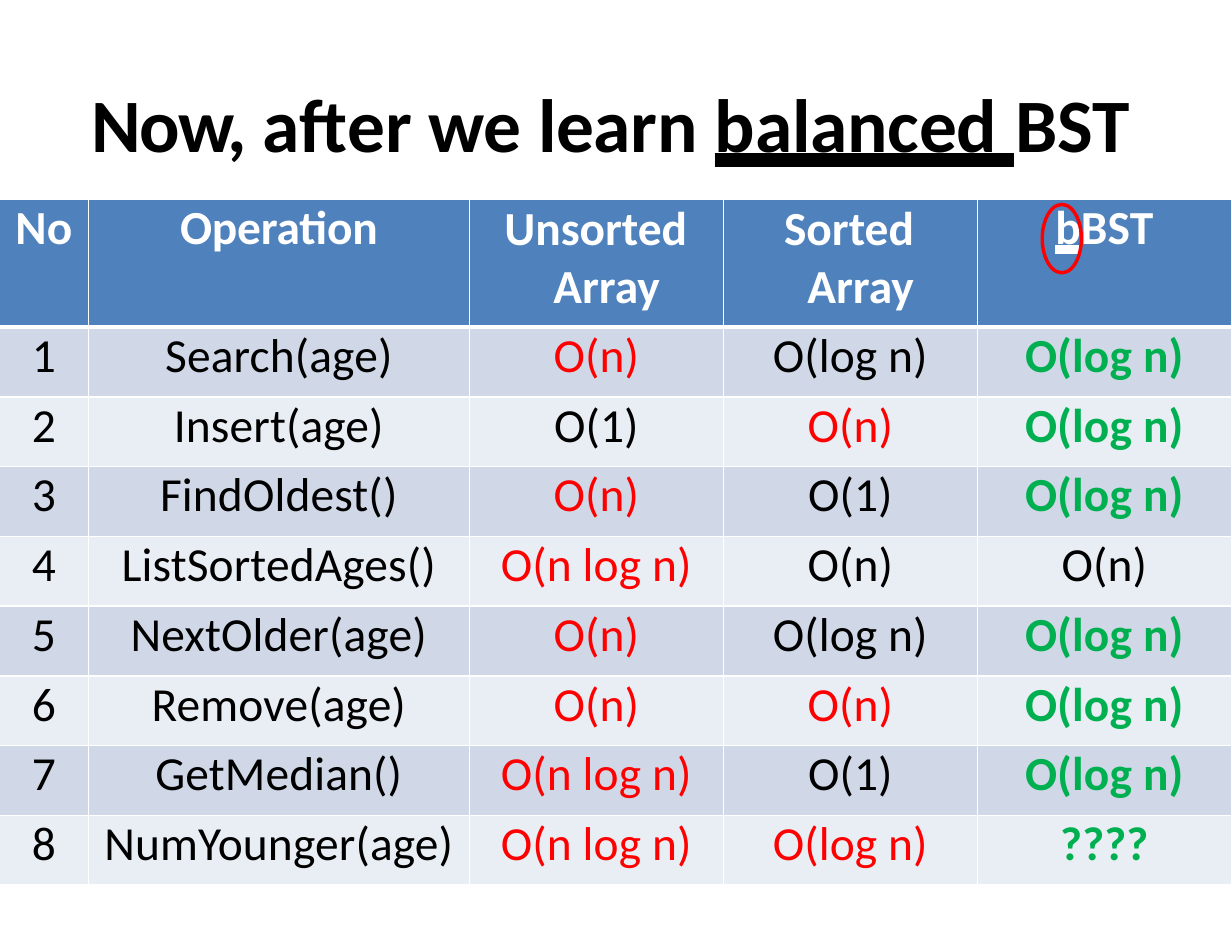
from lxml import etree
from pptx import Presentation
from pptx import util as u
from pptx.dml.color import RGBColor
from pptx.enum import shapes, text
from pptx.oxml.ns import qn

WHITE, BLACK, RED, GREEN = "FFFFFF", "000000", "FF0000", "00B050"
HEADER, BAND_DARK, BAND_LIGHT = "4F81BD", "D0D8E8", "E9EDF4"
HEAVY = text.MSO_UNDERLINE.HEAVY_LINE


def colour(value):
    return RGBColor.from_string(value)


class SlideBuilder:
    font = "Calibri"
    title_size = 48.5
    table_size = 30.5
    thin, thick = 1.1, 3.3

    def __init__(self, deck):
        self.slide = deck.slides.add_slide(deck.slide_layouts[5])

    def format_font(self, para, size, ink, bold):
        font = para.font
        font.name, font.size, font.bold = self.font, u.Pt(size), bold
        font.color.rgb = colour(ink)

    def add_spans(self, para, spans):
        """Each span is (words, underlined, letter spacing in points)."""
        for words, underlined, spacing in spans:
            span = para.add_run()
            span.text = words
            if underlined:
                span.font.underline = HEAVY
            if spacing:
                span.font._element.set("spc", str(round(spacing * 100)))

    def title(self, spans, left, top, width, height):
        box = self.slide.shapes.title
        box.left, box.top, box.width, box.height = map(u.Pt, (left, top, width, height))
        frame = box.text_frame
        frame.margin_left = frame.margin_right = frame.margin_top = frame.margin_bottom = 0
        frame.vertical_anchor = text.MSO_ANCHOR.TOP
        frame.auto_size = text.MSO_AUTO_SIZE.NONE
        para = frame.paragraphs[0]
        para.alignment = text.PP_ALIGN.LEFT
        self.format_font(para, self.title_size, BLACK, True)
        self.add_spans(para, spans)

    def table(self, rows, left, top, widths, heights):
        frame = self.slide.shapes.add_table(
            rows, len(widths), u.Pt(left), u.Pt(top), u.Pt(sum(widths)), u.Pt(sum(heights)))
        grid = frame.table
        for column, width in zip(grid.columns, widths):
            column.width = u.Pt(width)
        for row, height in zip(grid.rows, heights):
            row.height = u.Pt(height)
        return grid

    def cell(self, cell, spans, fill, ink, bold=False, before=1.7, top=thin, bottom=thin):
        cell.margin_left = cell.margin_right = cell.margin_top = cell.margin_bottom = 0
        properties = cell._tc.get_or_add_tcPr()
        for side, width in (("L", self.thin), ("R", self.thin), ("T", top), ("B", bottom)):
            line = etree.SubElement(properties, qn("a:ln" + side), w=str(u.Pt(width)))
            paint = etree.SubElement(line, qn("a:solidFill"))
            etree.SubElement(paint, qn("a:srgbClr"), val=WHITE)
        cell.fill.solid()
        cell.fill.fore_color.rgb = colour(fill)
        para = cell.text_frame.paragraphs[0]
        para.alignment = text.PP_ALIGN.CENTER
        para.space_before = u.Pt(before)
        self.format_font(para, self.table_size, ink, bold)
        self.add_spans(para, spans)
        return para

    def hang(self, para, margin, indent):
        para.alignment = text.PP_ALIGN.LEFT
        para.line_spacing = 1.01
        properties = para._p.get_or_add_pPr()
        properties.set("marL", str(u.Pt(margin)))
        properties.set("indent", str(u.Pt(indent)))

    def ring(self, left, top, width, height, ink, weight):
        shape = self.slide.shapes.add_shape(
            shapes.MSO_SHAPE.OVAL, *map(u.Pt, (left, top, width, height)))
        shape.shadow.inherit = False
        shape.fill.background()
        shape.line.color.rgb = colour(ink)
        shape.line.width = u.Pt(weight)


# Header spans, with the first-line indent of the two wrapped names
HEADINGS = [
    ([("No", False, 0.1)], None),
    ([("Operation", False, -0.1)], None),
    ([("Unsorted Array", False, 0)], -31.5),
    ([("Sorted Array", False, 0)], -15),
    ([("b", True, 0.1), ("BST", False, 0.1)], None),
]

# A leading "-" marks a slow cost (red), "+" a good one (bold green)
MARKS = {"-": (RED, False), "+": (GREEN, True)}
OPERATIONS = [
    ("Search(age)", "-O(n)", "O(log n)", "+O(log n)"),
    ("Insert(age)", "O(1)", "-O(n)", "+O(log n)"),
    ("FindOldest()", "-O(n)", "O(1)", "+O(log n)"),
    ("ListSortedAges()", "-O(n log n)", "O(n)", "O(n)"),
    ("NextOlder(age)", "-O(n)", "O(log n)", "+O(log n)"),
    ("Remove(age)", "-O(n)", "-O(n)", "+O(log n)"),
    ("GetMedian()", "-O(n log n)", "O(1)", "+O(log n)"),
    ("NumYounger(age)", "-O(n log n)", "-O(log n)", "+????"),
]


def main():
    deck = Presentation()
    deck.slide_width, deck.slide_height = u.Pt(792), u.Pt(612)
    page = SlideBuilder(deck)

    # Title
    page.title([("Now, ", False, -1), ("after we learn ", False, -0.2),
                ("balanced", True, -0.1), (" ", True, 0.7), ("BST", False, -0.2)],
               58.9, 49.7, 675.4, 61.9)

    # Table header
    count = len(OPERATIONS)
    grid = page.table(count + 1, -0.5, 128.4, [57.4, 244.9] + [163.3] * 3,
                      [81.9] + [44.85] * count)
    for column, (spans, indent) in enumerate(HEADINGS):
        para = page.cell(grid.cell(0, column), spans, HEADER, WHITE, True, bottom=page.thick)
        if indent is not None:
            page.hang(para, 54, indent)

    # Table body
    for number, costs in enumerate(OPERATIONS, 1):
        first = number == 1
        fill = BAND_DARK if number % 2 else BAND_LIGHT
        for column, entry in enumerate((str(number), *costs)):
            ink, bold = MARKS.get(entry[0], (BLACK, False))
            page.cell(grid.cell(number, column), [(entry.lstrip("-+"), False, 0.1)],
                      fill, ink, bold, before=0.6 if first else 1.7,
                      top=page.thick if first else page.thin)

    # Ring around the "b" of bBST
    page.ring(670, 131.4, 25.2, 44, RED, 2.2)

    deck.save("out.pptx")


if __name__ == "__main__":
    main()
